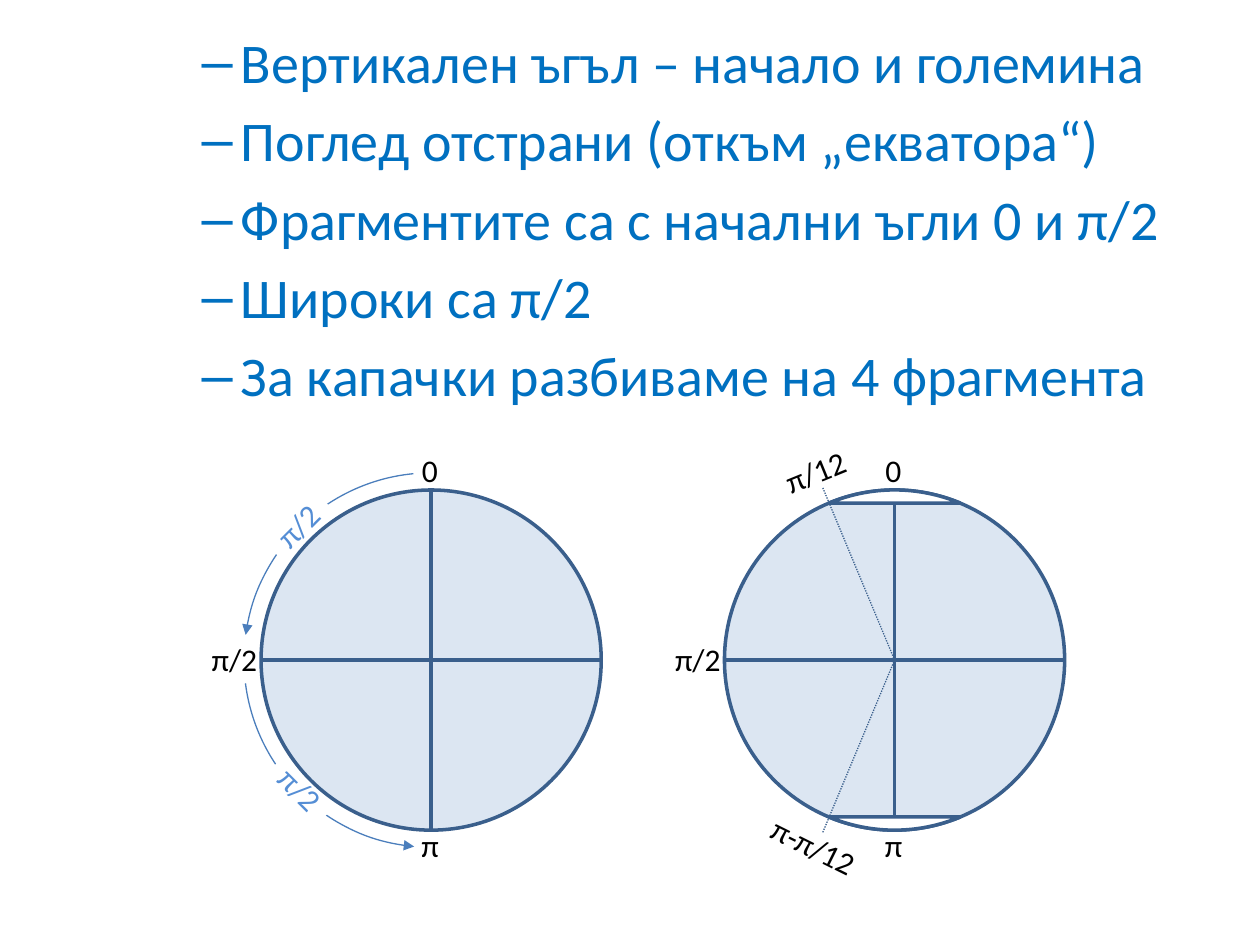
import lxml.etree
import pptx
import pptx.dml.color
import pptx.enum.dml
import pptx.enum.shapes
import pptx.enum.text
import pptx.oxml.ns
import pptx.util

Pt = pptx.util.Pt
qn = pptx.oxml.ns.qn
SHAPES = pptx.enum.shapes.MSO_SHAPE

# Content
POINTS = [
    "Вертикален ъгъл – начало и големина",
    "Поглед отстрани (откъм „екватора“)",
    "Фрагментите са с начални ъгли 0 и π/2",
    "Широки са π/2",
    "За капачки разбиваме на 4 фрагмента",
]
# Labels: text, offset of the middle from the circle centre, width, rotation
TICKS = [
    ("0", -0.4, -108.7, 24, 0),
    ("π/2", -112, -0.7, 41, 0),
    ("π", -0.7, 105.8, 24, 0),
]
SPANS = [("π/2", -74.5, 74.2, 41, 45), ("π/2", -76, -77, 41, 315)]
CAP_ANGLES = [("π/12", -45, -108, 50, 337.8), ("π-π/12", -45.7, 106.6, 66, 26.5)]
# Arrow arcs: rotation, start and end in degrees
ARROWS = [(0, 275.45, 352.26), (270, 277.14, 354.77)]
CAP = (247.29, 292.73)

# Geometry
SLIDE = (720, 540)
BODY = (72, 12, 648, 516)
CENTRE_Y, LEFT_X, RIGHT_X = 377.2, 246.4, 511.2
RADIUS, ARROW_RADIUS = 97.2, 107
LABEL_HEIGHT = 29
RAY = (-41, 98.4)

THEME = {
    "font": "Calibri", "body_size": 32, "label_size": 18,
    "body": "0070C0", "label": "000000", "span": "558ED5",
    "disc": "DCE6F2", "outline": "3A5F8C", "arrow": "4B7EBC", "paper": "FFFFFF",
    "thick": 2, "thin": 0.75,
}


def colour(name):
    return pptx.dml.color.RGBColor.from_string(THEME[name])


def set_font(run, size, name):
    formats = {"name": THEME["font"], "size": Pt(THEME[size])}
    for key, value in formats.items():
        setattr(run.font, key, value)
    run.font.color.rgb = colour(name)


def set_line(part, name, width):
    part.line.color.rgb = colour(name)
    part.line.width = Pt(THEME[width])


def add_round(kind, x, radius, fill, line, width, degrees=()):
    part = slide.shapes.add_shape(kind, Pt(x - radius), Pt(CENTRE_Y - radius),
                                  Pt(2 * radius), Pt(2 * radius))
    part.shadow.inherit = False
    if fill:
        part.fill.solid()
        part.fill.fore_color.rgb = colour(fill)
    else:
        part.fill.background()
    set_line(part, line, width)
    for index, angle in enumerate(degrees):
        part.adjustments[index] = angle * 0.6  # 60000 units a degree, over 100000
    return part


def flip(part, axis):
    part._element.spPr.find(qn("a:xfrm")).set(axis, "1")


def add_line(x, start, end, width, dash=None):
    """Draw a line between two offsets from the circle centre."""
    ends = [Pt(value) for dx, dy in (start, end) for value in (x + dx, CENTRE_Y + dy)]
    line = slide.shapes.add_connector(pptx.enum.shapes.MSO_CONNECTOR.STRAIGHT, *ends)
    set_line(line, "outline", width)
    if dash:
        line.line.dash_style = dash
    lxml.etree.SubElement(line._element.spPr, qn("a:effectLst"))


def add_labels(x, labels, name="label", fill=None):
    for text, dx, dy, width, rotation in labels:
        label = slide.shapes.add_textbox(
            Pt(x + dx - width / 2), Pt(CENTRE_Y + dy - LABEL_HEIGHT / 2),
            Pt(width), Pt(LABEL_HEIGHT))
        label.rotation = rotation
        if fill:
            label.fill.solid()
            label.fill.fore_color.rgb = colour(fill)
        formats = {"word_wrap": False,
                   "auto_size": pptx.enum.text.MSO_AUTO_SIZE.SHAPE_TO_FIT_TEXT}
        for key, value in formats.items():
            setattr(label.text_frame, key, value)
        run = label.text_frame.paragraphs[0].add_run()
        run.text = text
        set_font(run, "label_size", name)


def add_disc(x):
    add_round(SHAPES.OVAL, x, RADIUS, "disc", "outline", "thick")
    add_line(x, (-RADIUS, 0), (RADIUS, 0), "thick")
    add_line(x, (0, -RADIUS), (0, RADIUS), "thick")


deck = pptx.Presentation()
deck.slide_width, deck.slide_height = (Pt(side) for side in SLIDE)
slide = deck.slides.add_slide(deck.slide_layouts.get_by_name("Title and Content"))
title = slide.shapes.title._element
title.getparent().remove(title)

# Second-level list
body = slide.placeholders[1]
for key, value in zip(("left", "top", "width", "height"), BODY):
    setattr(body, key, Pt(value))
for index, point in enumerate(POINTS):
    frame = body.text_frame
    paragraph = frame.add_paragraph() if index else frame.paragraphs[0]
    paragraph.level = 1
    run = paragraph.add_run()
    run.text = point
    set_font(run, "body_size", "body")

# Left circle: two fragments with arrows
add_labels(LEFT_X, TICKS)
for rotation, *degrees in ARROWS:
    arrow = add_round(SHAPES.ARC, LEFT_X, ARROW_RADIUS, None, "arrow", "thin", degrees)
    arrow.rotation = rotation
    flip(arrow, "flipH")
    lxml.etree.SubElement(arrow._element.spPr.find(qn("a:ln")), qn("a:tailEnd"),
                          type="triangle")
add_labels(LEFT_X, SPANS, "span", "paper")
add_disc(LEFT_X)

# Right circle: caps cut off at both poles
add_labels(RIGHT_X, TICKS)
add_disc(RIGHT_X)
for upside_down in (False, True):
    cap = add_round(SHAPES.CHORD, RIGHT_X, RADIUS, "paper", "outline", "thick", CAP)
    if upside_down:
        flip(cap, "flipV")
for side in (-1, 1):
    add_line(RIGHT_X, (RAY[0], side * RAY[1]), (0, 0), "thin",
             pptx.enum.dml.MSO_LINE.ROUND_DOT)
add_labels(RIGHT_X, CAP_ANGLES)

deck.save("out.pptx")
